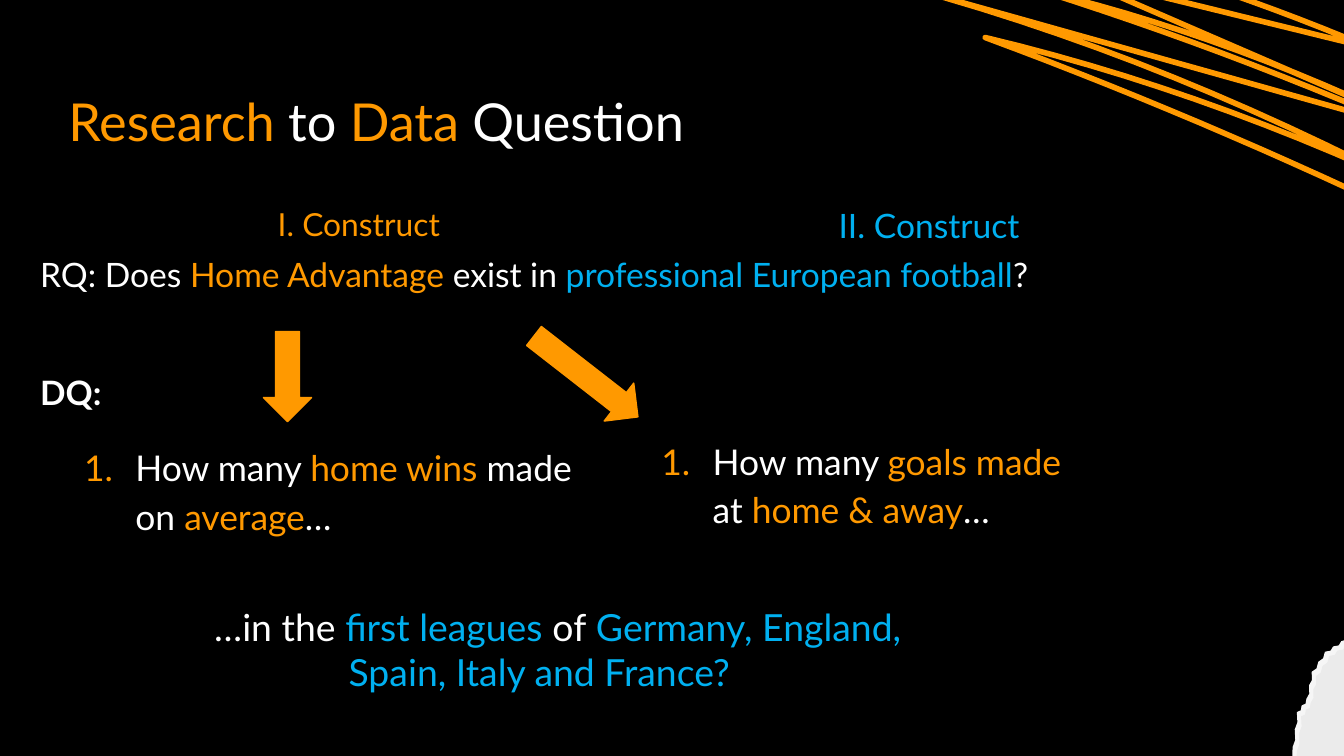
from lxml import etree
from pptx import Presentation
from pptx.dml.color import RGBColor
from pptx.enum.shapes import MSO_SHAPE
from pptx.enum.text import MSO_ANCHOR, PP_ALIGN
from pptx.oxml.ns import qn
from pptx.util import Cm, Pt

DOWN_ARROW = MSO_SHAPE.DOWN_ARROW
LEFT = PP_ALIGN.LEFT
TOP, MIDDLE = MSO_ANCHOR.TOP, MSO_ANCHOR.MIDDLE

FONT = "Lato"
BLACK, WHITE, ORANGE, BLUE = "000000", "FFFFFF", "FF9900", "00B0F0"
PAPER_EDGE, PAPER = "F6F6F6", "EBEBEB"

SLIDE_WIDTH, SLIDE_HEIGHT = 25.4, 14.29
INSET = 0.25
MARGIN = 0.51
CONSTRUCT_TOP = 3.63
ARROW_WIDTH = 0.91
TEXT_INDENT, NUMBER_HANG = 1.27, 0.97

SCRIBBLE_START = (24.05, -0.36)
SCRIBBLE_TURNS = [
    ((20.45, -0.99), 0), ((25.91, 0.91), -0.1),
    ((20.12, -0.51), 0), ((26.09, 2.08), 0),
    ((19.66, -0.18), -0.18), ((26.52, 2.39), -0.1),
    ((17.83, -0.05), 0), ((26.54, 3.48), -0.25),
    ((18.62, 0.71), -0.22), ((25.58, 3.61), -0.08),
]
CURVE_STEPS = 12

TORN_CORNERS = [
    (24.16, 15.49), (24.28, 14.78), (24.43, 14.12), (24.51, 13.46),
    (24.69, 13.21), (24.79, 12.7), (25.04, 12.32), (25.35, 12.12),
    (25.7, 11.86), (26.92, 11.3),
]
PAPER_CORNER = (26.85, 15.44)
PAPER_SHIFT = 0.08
TEAR_STEPS, TEAR_DEPTH = 4, 0.03


def rgb(value):
    return RGBColor.from_string(value)


def between(start, end, t):
    return start[0] + (end[0] - start[0]) * t, start[1] + (end[1] - start[1]) * t


def scribble_points():
    points = [SCRIBBLE_START]
    for turn, bow in SCRIBBLE_TURNS:
        start = points[-1]
        for step in range(1, CURVE_STEPS + 1):
            t = step / CURVE_STEPS
            x, y = between(start, turn, t)
            points.append((x, y + 4 * bow * t * (1 - t)))
    return points


def torn_points(shift):
    points = [PAPER_CORNER]
    for start, end in zip(TORN_CORNERS, TORN_CORNERS[1:]):
        for step in range(TEAR_STEPS):
            x, y = between(start, end, step / TEAR_STEPS)
            notch = TEAR_DEPTH * (step % 2)
            points.append((x + shift + notch, y + shift + notch))
    return points + [TORN_CORNERS[-1]]


def add_outline(slide, points, closed):
    corners = [(Cm(x), Cm(y)) for x, y in points]
    builder = slide.shapes.build_freeform(*corners[0])
    builder.add_line_segments(corners[1:], close=closed)
    outline = builder.convert_to_shape()
    outline.shadow.inherit = False
    return outline


def add_scribble(slide):
    scribble = add_outline(slide, scribble_points(), closed=False)
    scribble.fill.background()
    scribble.line.color.rgb = rgb(ORANGE)
    scribble.line.width = Pt(3)
    stroke = scribble.line._get_or_add_ln()
    stroke.set("cap", "rnd")
    etree.SubElement(stroke, qn("a:round"))


def add_torn_paper(slide):
    for color, shift in ((PAPER_EDGE, 0), (PAPER, PAPER_SHIFT)):
        sheet = add_outline(slide, torn_points(shift), closed=True)
        sheet.fill.solid()
        sheet.fill.fore_color.rgb = rgb(color)
        sheet.line.fill.background()


def add_arrow(slide, left, top, length, rotation=0):
    arrow = slide.shapes.add_shape(
        DOWN_ARROW, Cm(left), Cm(top), Cm(ARROW_WIDTH), Cm(length))
    arrow.rotation = rotation
    arrow.shadow.inherit = False
    arrow.fill.solid()
    arrow.fill.fore_color.rgb = rgb(ORANGE)
    arrow.line.color.rgb = rgb(ORANGE)
    arrow.line.width = Pt(0.75)


def set_frame(frame, anchor=TOP):
    frame.word_wrap = True
    frame.vertical_anchor = anchor
    frame.margin_left = frame.margin_right = Cm(INSET)
    frame.margin_top = frame.margin_bottom = Cm(INSET)


def add_runs(paragraph, runs, size, bold=False):
    paragraph.alignment = LEFT
    for text, color in runs:
        run = paragraph.add_run()
        run.text = text
        run.font.name = FONT
        run.font.size = Pt(size)
        run.font.bold = bold
        run.font.color.rgb = rgb(color)


def add_text(slide, left, top, width, height, lines, size, bold=False):
    frame = slide.shapes.add_textbox(Cm(left), Cm(top), Cm(width), Cm(height)).text_frame
    set_frame(frame)
    for index, runs in enumerate(lines):
        paragraph = frame.add_paragraph() if index else frame.paragraphs[0]
        add_runs(paragraph, runs, size, bold)
    return frame.paragraphs


def indent(paragraph, margin, first_line):
    properties = paragraph._p.get_or_add_pPr()
    properties.set("marL", str(Cm(margin)))
    properties.set("indent", str(Cm(first_line)))
    return properties


def add_number(paragraph):
    properties = indent(paragraph, TEXT_INDENT, -NUMBER_HANG)
    color = etree.SubElement(properties, qn("a:buClr"))
    etree.SubElement(color, qn("a:srgbClr"), val=ORANGE)
    etree.SubElement(properties, qn("a:buFont"), typeface=FONT)
    etree.SubElement(properties, qn("a:buAutoNum"), type="arabicPeriod")


def add_data_question(slide, left, top, width, lines):
    numbered, *continued = add_text(slide, left, top, width, 2.26, lines, 19)
    add_number(numbered)
    for paragraph in continued:
        indent(paragraph, TEXT_INDENT, 0)
    for paragraph in (numbered, *continued):
        paragraph.line_spacing = 1.15


def set_title(slide, runs):
    title = slide.shapes.title
    title.left, title.top, title.width, title.height = Cm(1.04), Cm(1.5), Cm(22.38), Cm(1.57)
    set_frame(title.text_frame, MIDDLE)
    add_runs(title.text_frame.paragraphs[0], runs, 28)


def add_research_question(slide):
    add_text(slide, 5, CONSTRUCT_TOP, 6.3, 1.32, [[("I. Construct", ORANGE)]], 17)
    add_text(slide, 15.6, CONSTRUCT_TOP, 6.63, 0.86, [[("II. Construct", BLUE)]], 18)
    add_text(slide, MARGIN, 4.55, SLIDE_WIDTH - MARGIN, 1.04, [[
        ("RQ: Does ", WHITE), ("Home Advantage", ORANGE), (" exist in ", WHITE),
        ("professional European football", BLUE), ("?", WHITE)]], 18)


def add_data_questions(slide):
    add_text(slide, MARGIN, 6.78, 8.33, 1.27, [[("DQ:", WHITE)]], 18, bold=True)
    add_data_question(slide, 1.04, 8.07, 10.59, [[
        ("How many ", WHITE), ("home wins", ORANGE), (" made on ", WHITE),
        ("average", ORANGE), ("…", WHITE)]])
    add_data_question(slide, 11.95, 7.94, 12.85, [
        [("How many ", WHITE), ("goals made", ORANGE)],
        [("at ", WHITE), ("home & away", ORANGE), ("…", WHITE)]])
    opening, countries = add_text(slide, 3.8, 11.18, 22.1, 2.79, [
        [("…in the", WHITE), (" first leagues ", BLUE), ("of", WHITE),
         (" Germany, England,", BLUE)],
        [("Spain, Italy and France?", BLUE)]], 20)
    indent(countries, TEXT_INDENT, TEXT_INDENT)


def main():
    deck = Presentation()
    deck.slide_width, deck.slide_height = Cm(SLIDE_WIDTH), Cm(SLIDE_HEIGHT)
    slide = deck.slides.add_slide(deck.slide_layouts[5])
    slide.background.fill.solid()
    slide.background.fill.fore_color.rgb = rgb(BLACK)
    add_scribble(slide)
    add_torn_paper(slide)
    set_title(slide, [("Research", ORANGE), (" to ", WHITE),
                      ("Data ", ORANGE), ("Question", WHITE)])
    add_research_question(slide)
    add_arrow(slide, 4.98, 6.27, 1.7)
    add_arrow(slide, 10.62, 5.87, 2.49, rotation=307.9)
    add_data_questions(slide)
    deck.save("out.pptx")


if __name__ == "__main__":
    main()
